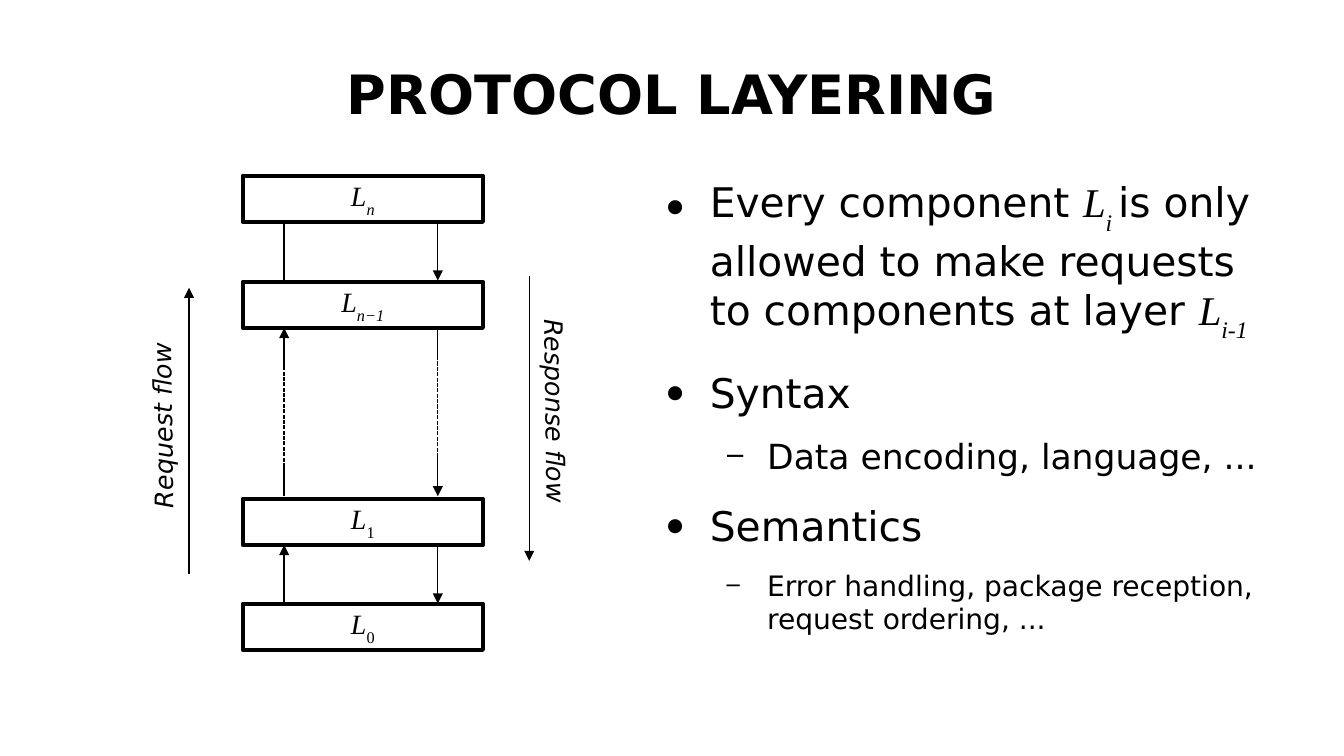
from lxml import etree
from pptx import Presentation
from pptx.dml.color import RGBColor
from pptx.enum import dml, shapes, text
from pptx.oxml import ns
from pptx.util import Inches, Pt

BLACK = RGBColor(0, 0, 0)
WHITE = RGBColor(255, 255, 255)
SANS = "DejaVu Sans"
SERIF = "Times New Roman"


class LayeringSlide:
    def __init__(self, deck):
        self.slide = deck.slides.add_slide(deck.slide_layouts[5])
        self.slide.background.fill.solid()
        self.slide.background.fill.fore_color.rgb = WHITE

    def style(self, run, size, font=SANS, italic=False, bold=False, subscript=False):
        run.font.size = Pt(size)
        run.font.name = font
        run.font.italic = italic
        run.font.bold = bold
        run.font.color.rgb = BLACK
        if subscript:
            run.font._element.set("baseline", "-33000")

    def frame(self, shape, anchor, margins=(0, 0)):
        frame = shape.text_frame
        frame.word_wrap = True
        frame.auto_size = text.MSO_AUTO_SIZE.NONE
        frame.vertical_anchor = anchor
        frame.margin_left = frame.margin_right = Inches(margins[0])
        frame.margin_top = frame.margin_bottom = Inches(margins[1])
        return frame

    def title(self, wording, left, top, width, height):
        heading = self.slide.shapes.title
        heading.left, heading.top = Inches(left), Inches(top)
        heading.width, heading.height = Inches(width), Inches(height)
        frame = self.frame(heading, text.MSO_ANCHOR.MIDDLE)
        frame.text = wording
        frame.paragraphs[0].alignment = text.PP_ALIGN.CENTER
        self.style(frame.paragraphs[0].runs[0], 32, bold=True)

    def layer(self, index, italic_index, left, top, width, height):
        box = self.slide.shapes.add_shape(
            shapes.MSO_SHAPE.RECTANGLE,
            Inches(left), Inches(top), Inches(width), Inches(height))
        box.shadow.inherit = False
        box.fill.background()
        box.line.color.rgb = BLACK
        box.line.width = Pt(2.3)
        paragraph = self.frame(box, text.MSO_ANCHOR.MIDDLE).paragraphs[0]
        paragraph.text = "L"
        paragraph.alignment = text.PP_ALIGN.CENTER
        self.style(paragraph.runs[0], 16.5, SERIF, italic=True)
        subscript = paragraph.add_run()
        subscript.text = index
        self.style(subscript, 16.5, SERIF, italic=italic_index, subscript=True)

    def line(self, x, start, end, arrow=False, dotted=False):
        flow = self.slide.shapes.add_connector(
            shapes.MSO_CONNECTOR.STRAIGHT,
            Inches(x), Inches(start), Inches(x), Inches(end))
        flow.line.color.rgb = BLACK
        flow.line.width = Pt(0.79)
        if dotted:
            flow.line.dash_style = dml.MSO_LINE.SQUARE_DOT
        if arrow:
            etree.SubElement(flow.line._get_or_add_ln(), ns.qn("a:tailEnd"), type="triangle")
        etree.SubElement(flow._element.spPr, ns.qn("a:effectLst"))

    def flow_label(self, wording, left, top, width, height, rotation):
        label = self.slide.shapes.add_textbox(
            Inches(left), Inches(top), Inches(width), Inches(height))
        label.rotation = rotation
        frame = self.frame(label, text.MSO_ANCHOR.TOP, (0.1, 0.05))
        frame.text = wording
        self.style(frame.paragraphs[0].runs[0], 15, italic=True)

    def bullet(self, paragraph, level):
        props = paragraph._p.get_or_add_pPr()
        props.set("marL", str(Inches(0.94 if level else 0.47)))
        props.set("indent", str(Inches(-0.35)))
        colour = etree.SubElement(props, ns.qn("a:buClr"))
        etree.SubElement(colour, ns.qn("a:srgbClr"), val=str(BLACK))
        etree.SubElement(props, ns.qn("a:buSzPct"), val="75000" if level else "45000")
        etree.SubElement(props, ns.qn("a:buFont"), typeface=SANS)
        etree.SubElement(props, ns.qn("a:buChar"), char="−" if level else "●")

    def bullets(self, items, left, top, width, height):
        body = self.slide.shapes.add_textbox(
            Inches(left), Inches(top), Inches(width), Inches(height))
        frame = self.frame(body, text.MSO_ANCHOR.TOP)
        for position, (level, size, parts) in enumerate(items):
            paragraph = frame.add_paragraph() if position else frame.paragraphs[0]
            paragraph.level = level
            self.bullet(paragraph, level)
            if position:
                paragraph.space_before = Pt(11.1 if level else 14)
            for wording, kind in parts:
                run = paragraph.add_run()
                run.text = wording
                symbol = kind != "plain"
                self.style(run, size, SERIF if symbol else SANS,
                           italic=symbol, subscript=kind == "subscript")


def main():
    deck = Presentation()
    deck.slide_width, deck.slide_height = Inches(11.02), Inches(6.2)
    page = LayeringSlide(deck)
    page.title("PROTOCOL LAYERING", 0.55, 0.25, 9.92, 1.03)

    request_x, response_x = 2.33, 3.59
    page.line(request_x, 4.95, 4.47, arrow=True)
    page.line(response_x, 4.47, 4.95, arrow=True)
    page.line(request_x, 2.3, 1.82)
    page.line(response_x, 1.82, 2.3, arrow=True)
    page.line(request_x, 4.05, 2.69, arrow=True, dotted=True)
    page.line(response_x, 2.7, 4.07, arrow=True, dotted=True)
    for x, start, end in (
        (request_x, 3.82, 4.07), (request_x, 2.72, 3.03),
        (response_x, 2.94, 2.69), (response_x, 4.04, 3.72),
    ):
        page.line(x, start, end)

    for index, italic_index, top in (
        ("n", True, 1.44), ("n−1", True, 2.31), ("1", False, 4.09), ("0", False, 4.95),
    ):
        page.layer(index, italic_index, 1.99, top, 1.97, 0.38)

    page.line(1.55, 4.71, 2.36, arrow=True)
    page.flow_label("Request flow", 0.56, 3.29, 1.57, 0.38, 269.2)
    page.line(4.34, 2.26, 4.6, arrow=True)
    page.flow_label("Response flow", 3.55, 3.09, 1.75, 0.61, 89.2)

    page.bullets([
        (0, 24.1, [
            ("Every component ", "plain"), ("L", "symbol"), ("i ", "subscript"),
            ("is only allowed to make requests to components at layer ", "plain"),
            ("L", "symbol"), ("i-1", "subscript"),
        ]),
        (0, 24.1, [("Syntax", "plain")]),
        (1, 20.4, [("Data encoding, language, ...", "plain")]),
        (0, 24.1, [("Semantics", "plain")]),
        (1, 16.6, [("Error handling, package reception, request ordering, ...", "plain")]),
    ], 5.35, 1.45, 5.12, 3.6)
    deck.save("out.pptx")


if __name__ == "__main__":
    main()
